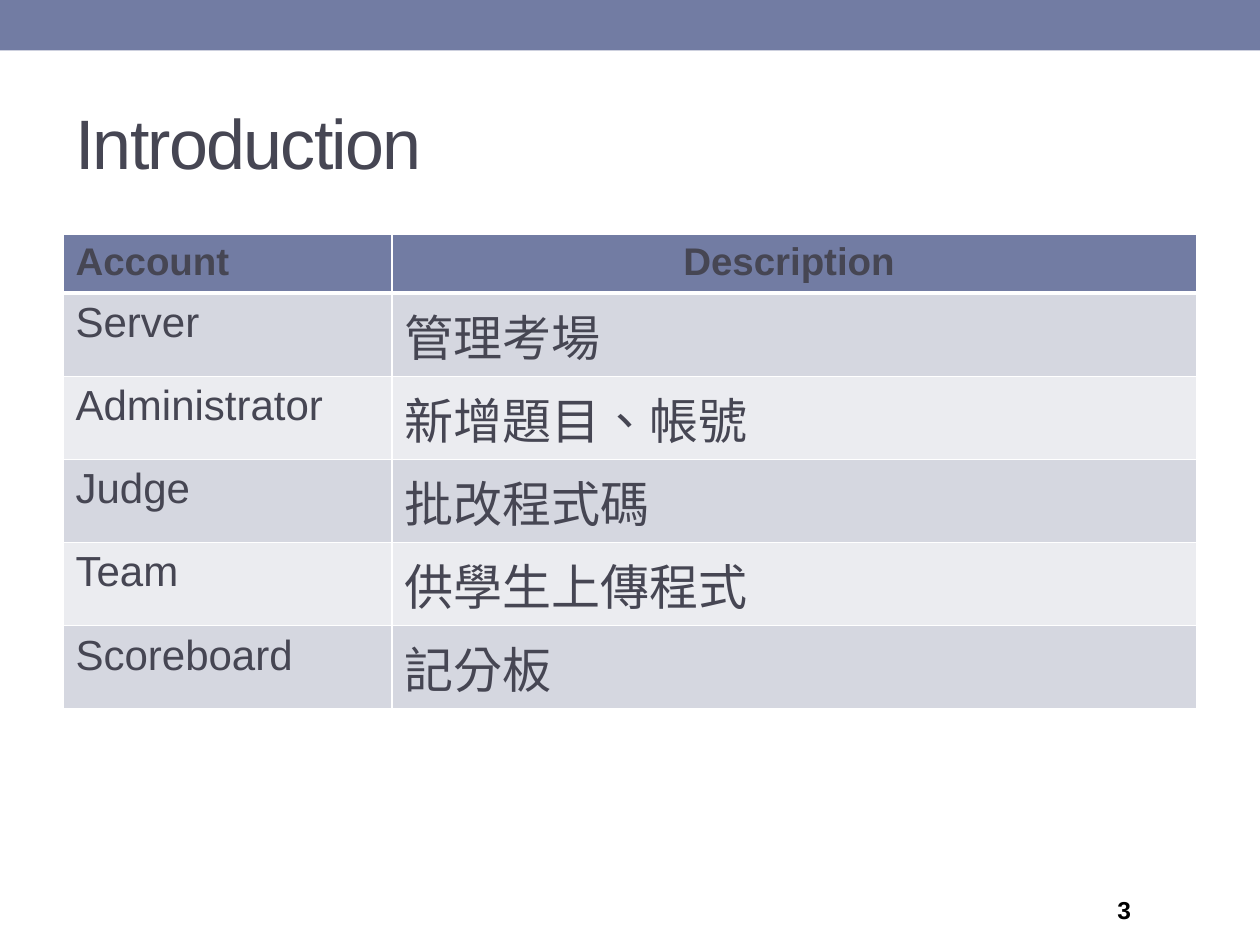
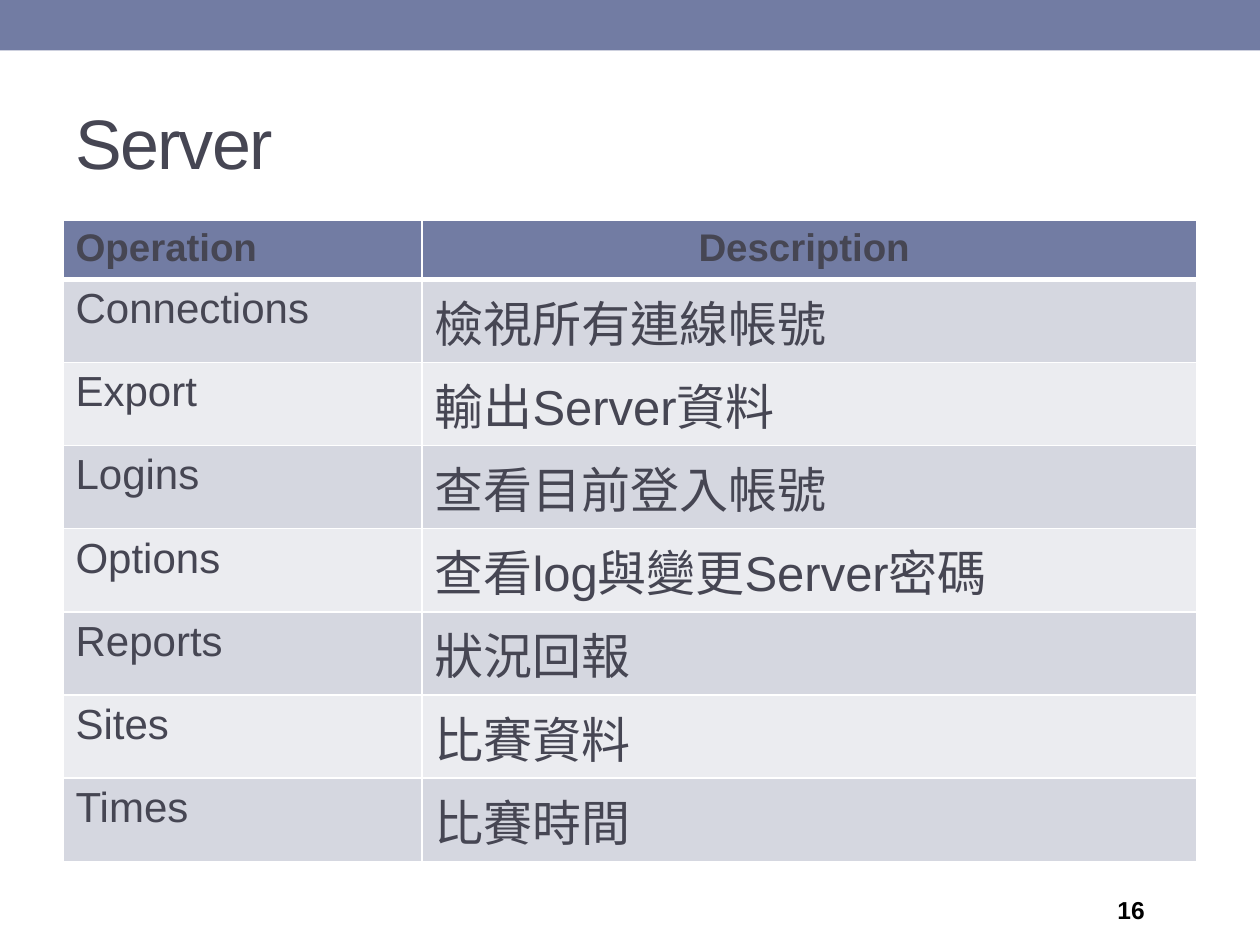
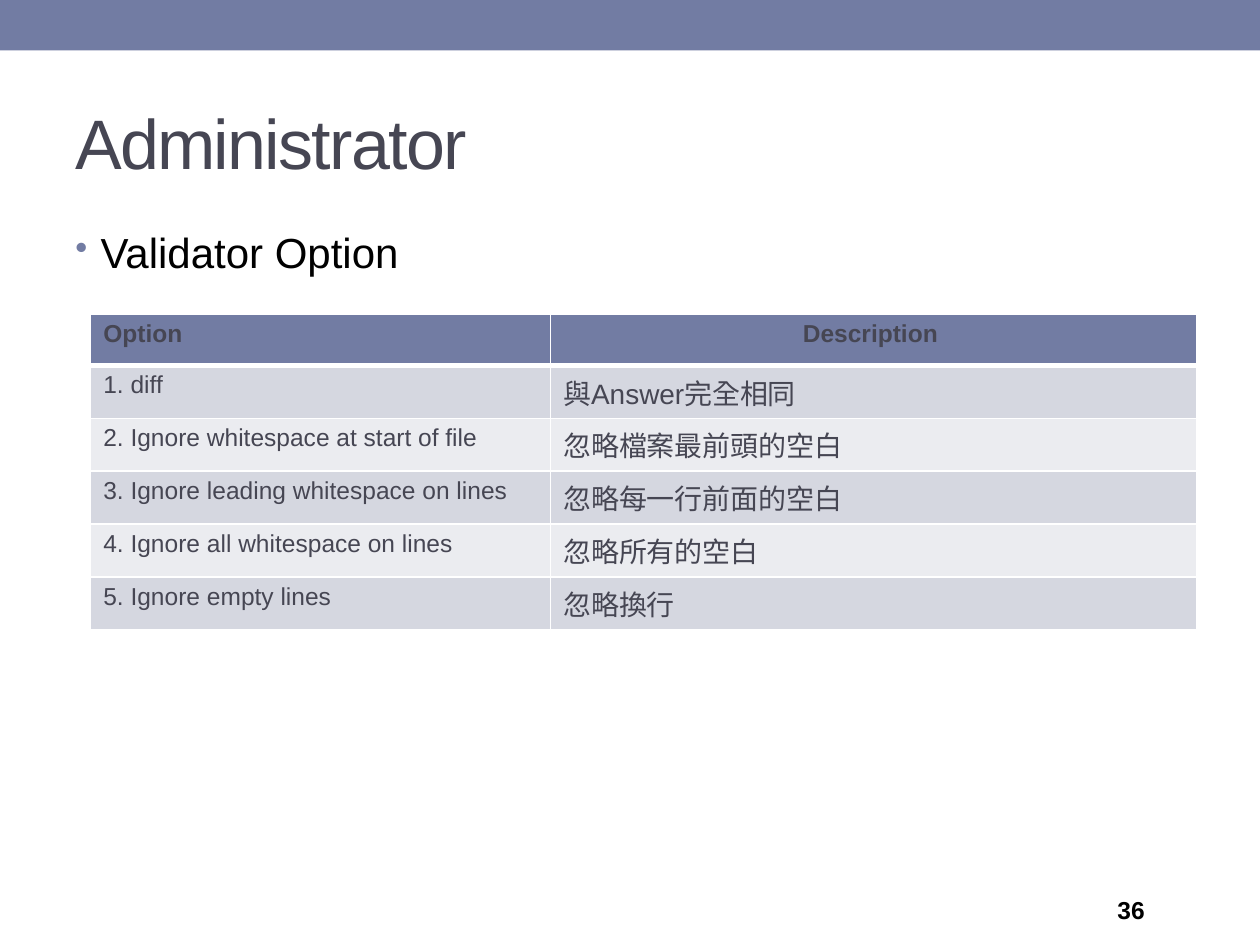
from pptx import Presentation, util as u
from pptx.dml.color import RGBColor
from pptx.enum import shapes, text
from pptx.oxml import parse_xml
from pptx.oxml.ns import nsdecls

COLS, ROWS = 20, 15
UNIT = u.Inches(0.5)
FONT = "Arial"
BLUE, INK, BLACK, WHITE = "727CA3", "464653", "000000", "FFFFFF"
BANDS = ("D5D7E0", "EBECF0")
LEFT, MID, JUST = text.PP_ALIGN.LEFT, text.PP_ALIGN.CENTER, text.PP_ALIGN.JUSTIFY


def rgb(code):
    """Turn a hex string into a colour."""
    return RGBColor.from_string(code)


def grid(*box):
    """Turn grid columns and rows into lengths."""
    return [u.Emu(round(n * UNIT)) for n in box]


def write(para, words, size, color, bold=False, space=0):
    """Add one styled run to a paragraph."""
    run = para.add_run()
    run.text = words
    font = run.font
    font.name, font.size, font.bold = FONT, u.Pt(size), bold
    font.color.rgb = rgb(color)
    props = run._r.get_or_add_rPr()
    props.set("lang", "en-US" if words.isascii() else "zh-TW")
    if space:
        props.set("spc", str(space))


def label(slide, box, words, size, color, anchor=text.MSO_ANCHOR.MIDDLE, **style):
    """Add a one-line text box and return its paragraph."""
    frame = slide.shapes.add_textbox(*grid(*box)).text_frame
    frame.word_wrap = True
    frame.vertical_anchor = anchor
    para = frame.paragraphs[0]
    write(para, words, size, color, **style)
    return para


def base(deck, title, page):
    """Start a slide with its band, title and page number."""
    slide = deck.slides.add_slide(deck.slide_layouts[6])
    band = slide.shapes.add_shape(shapes.MSO_SHAPE.RECTANGLE, *grid(0, 0, COLS, 0.8))
    band.shadow.inherit = False
    band.fill.solid()
    band.fill.fore_color.rgb = rgb(BLUE)
    band.line.fill.background()
    label(slide, (1, 1.16, 18, 2.16), title, 40, INK, space=-100)
    label(slide, (17.54, 14.08, 2.34, 0.72), page, 14, BLACK, bold=True)
    return slide


def bullet(slide, box, words):
    """Add a bulleted line."""
    para = label(slide, box, words, 24, BLACK, text.MSO_ANCHOR.TOP)
    props = para._p.get_or_add_pPr()
    props.set("marL", str(u.Inches(0.2)))
    props.set("indent", str(-u.Inches(0.2)))
    for part in (f'buClr {nsdecls("a")}><a:srgbClr val="{BLUE}"/></a:buClr',
                 f'buSzPct {nsdecls("a")} val="85000"/',
                 f'buChar {nsdecls("a")} char="•"/'):
        props.append(parse_xml(f"<a:{part}>"))


def edge(cell, top, bottom):
    """Draw white borders round a cell."""
    props = cell._tc.get_or_add_tcPr()
    for spot, (side, width) in enumerate(zip("LRTB", (1, 1, top, bottom))):
        props.insert(spot, parse_xml(
            f'<a:ln{side} {nsdecls("a")} w="{u.Pt(width)}"><a:solidFill>'
            f'<a:srgbClr val="{WHITE}"/></a:solidFill></a:ln{side}>'))


def table(slide, box, first, sizes, rows):
    """Add a two-column table; sizes are for head, name and note."""
    left, top, width, tall = box
    head, name, note = sizes
    grid_box = grid(left, top, width, tall * len(rows))
    tab = slide.shapes.add_table(len(rows), 2, *grid_box).table
    tab.first_row = tab.horz_banding = False
    tab.columns[0].width, tab.columns[1].width = grid(first, width - first)
    for r, row in enumerate(rows):
        tab.rows[r].height = grid(0.82 if r == 0 else tall)[0]
        looks = ((name, LEFT), (note, JUST)) if r else ((head, LEFT), (head, MID))
        for c, (words, (size, align)) in enumerate(zip(row, looks)):
            cell = tab.cell(r, c)
            cell.fill.solid()
            cell.fill.fore_color.rgb = rgb(BANDS[(r - 1) % 2] if r else BLUE)
            edge(cell, 3 if r == 1 else 1, 1 if r else 3)
            para = cell.text_frame.paragraphs[0]
            para.alignment = align
            write(para, words, size, INK, bold=r == 0)


ACCOUNTS = [
    ("Account", "Description "),
    ("Server", "管理考場"),
    ("Administrator", "新增題目、帳號"),
    ("Judge", "批改程式碼"),
    ("Team", "供學生上傳程式"),
    ("Scoreboard", "記分板"),
]
TASKS = [
    ("Operation", "Description "),
    ("Connections", "檢視所有連線帳號"),
    ("Export", "輸出Server資料"),
    ("Logins", "查看目前登入帳號"),
    ("Options", "查看log與變更Server密碼"),
    ("Reports", "狀況回報"),
    ("Sites", "比賽資料"),
    ("Times", "比賽時間"),
]
CHECKS = [
    ("Option", "Description "),
    ("1. diff", "與Answer完全相同"),
    ("2. Ignore whitespace at start of file", "忽略檔案最前頭的空白"),
    ("3. Ignore leading whitespace on lines", "忽略每一行前面的空白"),
    ("4. Ignore all whitespace on lines", "忽略所有的空白"),
    ("5. Ignore empty lines", "忽略換行"),
]


def main():
    """Build the three slides and save them."""
    deck = Presentation()
    deck.slide_width, deck.slide_height = grid(COLS, ROWS)
    large, small = (22, 24, 28), (14, 14, 16)
    table(base(deck, "Introduction", "3"), (1, 3.72, 18, 1.32), 5.22, large, ACCOUNTS)
    table(base(deck, "Server", "16"), (1, 3.5, 18, 1.32), 5.7, large, TASKS)
    last = base(deck, "Administrator", "36")
    table(last, (1.44, 4.98, 17.56, 0.84), 7.3, small, CHECKS)
    bullet(last, (1, 3.5, 18, 10.66), "Validator Option")
    deck.save("out.pptx")


if __name__ == "__main__":
    main()
